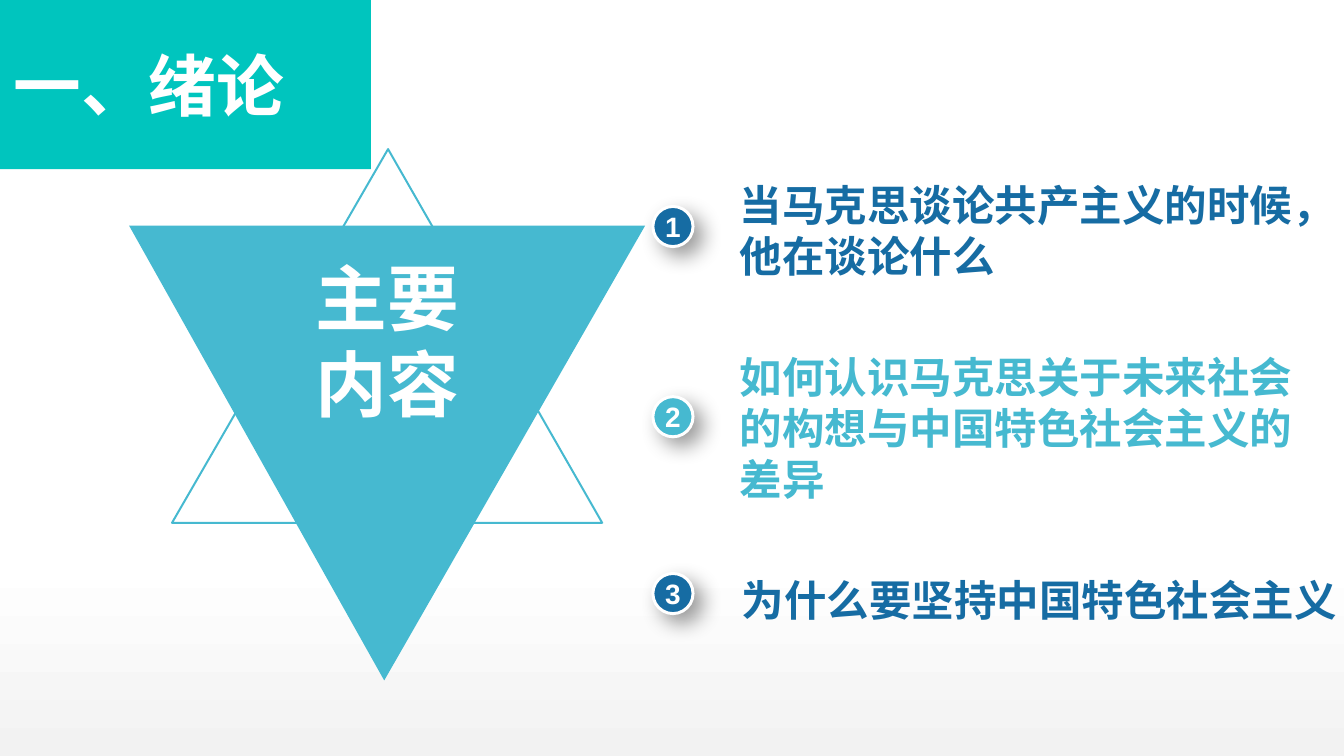
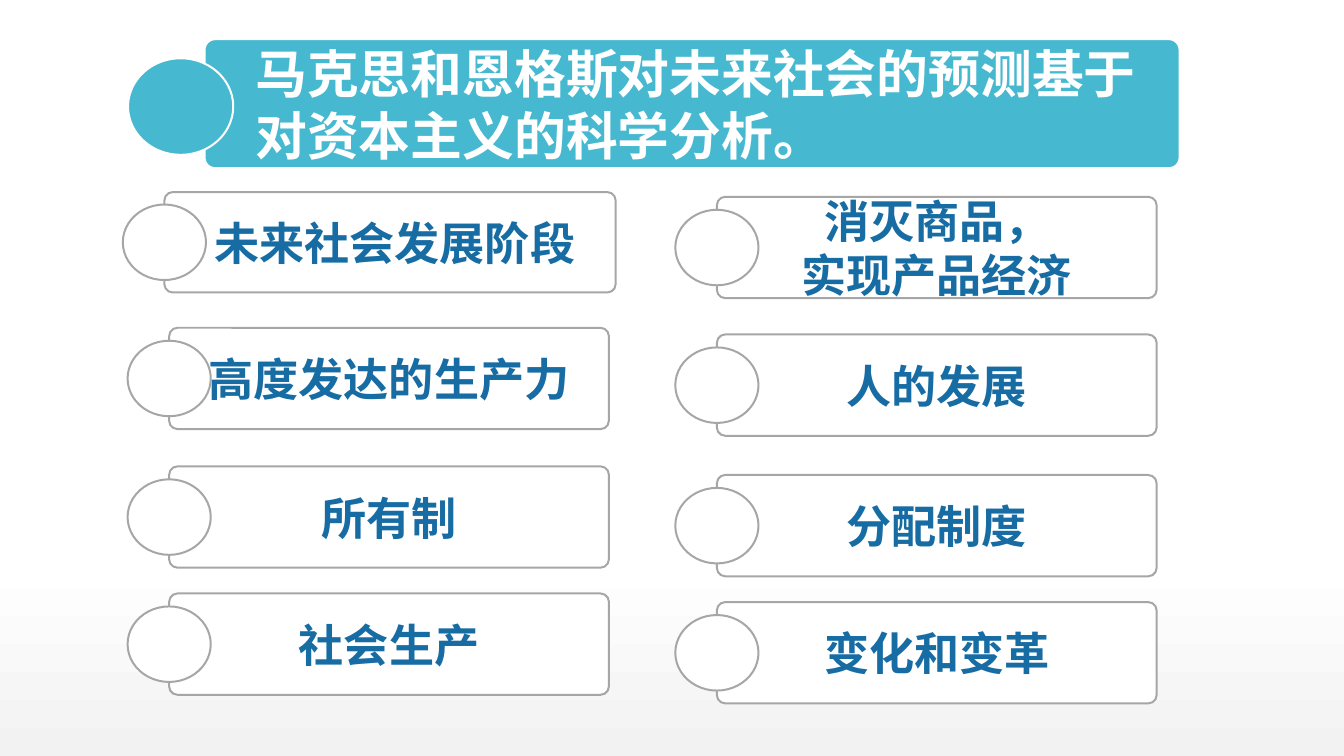
from dataclasses import dataclass

import lxml.etree
import pptx
import pptx.dml.color
import pptx.enum.shapes
import pptx.enum.text
import pptx.oxml.ns
import pptx.util

Inches = pptx.util.Inches
Pt = pptx.util.Pt
Shape = pptx.enum.shapes.MSO_SHAPE
Align = pptx.enum.text.PP_ALIGN


@dataclass(frozen=True)
class Theme:
    white: str = "FFFFFF"
    haze: str = "F2F2F2"
    grey: str = "A6A6A6"
    sky: str = "46B9D0"
    navy: str = "166CA3"
    teal: str = "00C5BE"
    latin: str = "Arial"
    chinese: str = "Noto Sans CJK SC"
    title: float = 51
    centre: float = 54
    banner: float = 39
    card: float = 34
    topic: float = 32
    badge: float = 21.1
    leading: float = 1.2
    outline: float = 1.5
    corner: float = 0.082


THEME = Theme()


def rgb(colour):
    return pptx.dml.color.RGBColor.from_string(colour)


def write(holder, text, *, size, colour, font=THEME.chinese, align=Align.LEFT,
          insets=(0, 0, 0, 0), leading=THEME.leading):
    frame = holder.text_frame
    frame.word_wrap = True
    frame.vertical_anchor = pptx.enum.text.MSO_ANCHOR.MIDDLE
    (frame.margin_left, frame.margin_top,
     frame.margin_right, frame.margin_bottom) = map(Inches, insets)
    for index, line in enumerate(text.split("\n")):
        paragraph = frame.add_paragraph() if index else frame.paragraphs[0]
        paragraph.alignment = align
        if leading:
            paragraph.line_spacing = Pt(round(size * leading, 1))
        run = paragraph.add_run()
        run.text = line
        run.font.name = font
        run.font.size = Pt(size)
        run.font.bold = True
        run.font.color.rgb = rgb(colour)
        east_asian = lxml.etree.SubElement(
            run.font._element, pptx.oxml.ns.qn("a:ea"))
        east_asian.set("typeface", THEME.chinese)


class Deck:
    def __init__(self, width, height):
        self.presentation = pptx.Presentation()
        self.presentation.slide_width = Inches(width)
        self.presentation.slide_height = Inches(height)
        backdrop = self.presentation.slide_master.background.fill
        backdrop.gradient()
        backdrop.gradient_angle = 90
        for stop, (position, colour) in zip(
                backdrop.gradient_stops, ((0, THEME.haze), (0.26, THEME.white))):
            stop.position = position
            stop.color.rgb = rgb(colour)
        self.slide = None

    def new_slide(self):
        self.slide = self.presentation.slides.add_slide(
            self.presentation.slide_layouts[6])

    def paint(self, shape, fill=None, line=None, weight=THEME.outline):
        shape.shadow.inherit = False
        if fill:
            shape.fill.solid()
            shape.fill.fore_color.rgb = rgb(fill)
        else:
            shape.fill.background()
        if line:
            shape.line.color.rgb = rgb(line)
            shape.line.width = Pt(weight)
        else:
            shape.line.fill.background()
        return shape

    def shape(self, kind, box, **style):
        added = self.slide.shapes.add_shape(kind, *map(Inches, box))
        return self.paint(added, **style)

    def triangle(self, corners, **style):
        points = [(Inches(x), Inches(y)) for x, y in corners]
        builder = self.slide.shapes.build_freeform(*points[0], scale=1.0)
        builder.add_line_segments(points[1:], close=True)
        self.paint(builder.convert_to_shape(), **style)

    def text(self, box, words, **style):
        write(self.slide.shapes.add_textbox(*map(Inches, box)), words, **style)

    def title(self, words):
        block = self.shape(Shape.RECTANGLE, (0, 0, 3.88, 1.77), fill=THEME.teal)
        write(block, words, size=THEME.title, colour=THEME.white,
              insets=(0.14, 0.07, 0.14, 0.07))

    def badge(self, top, number, colour):
        disc = self.shape(Shape.OVAL, (6.83, top, 0.42, 0.42),
                          fill=colour, line=THEME.white, weight=2.25)
        self.soft_shadow(disc)
        write(disc, str(number), size=THEME.badge, colour=THEME.white,
              font=THEME.latin, align=Align.CENTER, leading=None)

    def soft_shadow(self, shape):
        qn = pptx.oxml.ns.qn
        effects = shape._element.spPr.find(qn("a:effectLst"))
        shadow = lxml.etree.SubElement(
            effects, qn("a:outerShdw"), blurRad=str(Pt(16)), dist=str(Pt(9)),
            dir="2700000", algn="tl", rotWithShape="0")
        colour = lxml.etree.SubElement(shadow, qn("a:srgbClr"), val="000000")
        lxml.etree.SubElement(colour, qn("a:alpha"), val="40000")

    def panel(self, box, marker, words, fill, line, **style):
        plate = self.shape(Shape.ROUNDED_RECTANGLE, box, fill=fill, line=line)
        plate.adjustments[0] = THEME.corner
        write(plate, words, **style)
        self.shape(Shape.OVAL, marker, fill=fill, line=line)

    def card(self, box, words, indent=0.1):
        left, top, _, height = box
        wide, tall = 0.87, 0.79
        marker = (left - wide / 2, top + (height - tall) / 2, wide, tall)
        self.panel(box, marker, words, THEME.white, THEME.grey,
                   size=THEME.card, colour=THEME.navy, align=Align.CENTER,
                   insets=(indent, 0.05, 0.1, 0.05))


def build_outline(deck):
    deck.new_slide()
    deck.triangle(((1.35, 2.36), (6.75, 2.36), (4.02, 7.12)), fill=THEME.sky)
    deck.triangle(((4.06, 1.56), (6.3, 5.47), (1.8, 5.47)), line=THEME.sky)
    topics = (
        (2.16, (7.74, 1.87, 5.98, 1.08), THEME.navy,
         "当马克思谈论共产主义的时候，他在谈论什么"),
        (4.15, (7.74, 3.66, 6.01, 1.62), THEME.sky,
         "如何认识马克思关于未来社会的构想与中国特色社会主义的差异"),
        (6, (7.76, 6, 6.3, 0.54), THEME.navy,
         "为什么要坚持中国特色社会主义"),
    )
    for number, (badge_top, box, colour, topic) in enumerate(topics, 1):
        deck.badge(badge_top, number, colour)
        deck.text(box, topic, size=THEME.topic, colour=colour, font=THEME.latin)
    deck.text((2.62, 2.65, 2.87, 1.82), "主要\n内容", size=THEME.centre,
              colour=THEME.white, font=THEME.latin, align=Align.CENTER)
    deck.title("一、绪论")


def build_predictions(deck):
    deck.new_slide()
    deck.panel((2.14, 0.41, 10.2, 1.35), (1.34, 0.61, 1.1, 1.01),
               "马克思和恩格斯对未来社会的预测基于\n对资本主义的科学分析。",
               THEME.sky, THEME.white, size=THEME.banner, colour=THEME.white,
               insets=(0.5, 0.05, 0.1, 0.05))
    deck.card((1.72, 2.01, 4.72, 1.05), "未来社会发展阶段", indent=0.2)
    columns = (
        (1.77, ((3.43, "高度发达的生产力"), (4.88, "所有制"),
                (6.21, "社会生产"))),
        (7.5, ((2.06, "消灭商品，\n实现产品经济"), (3.5, "人的发展"),
               (4.97, "分配制度"), (6.3, "变化和变革"))),
    )
    for left, predictions in columns:
        for top, prediction in predictions:
            deck.card((left, top, 4.6, 1.06), prediction)


def main():
    deck = Deck(14.06, 7.91)
    build_outline(deck)
    build_predictions(deck)
    deck.presentation.save("out.pptx")


if __name__ == "__main__":
    main()
